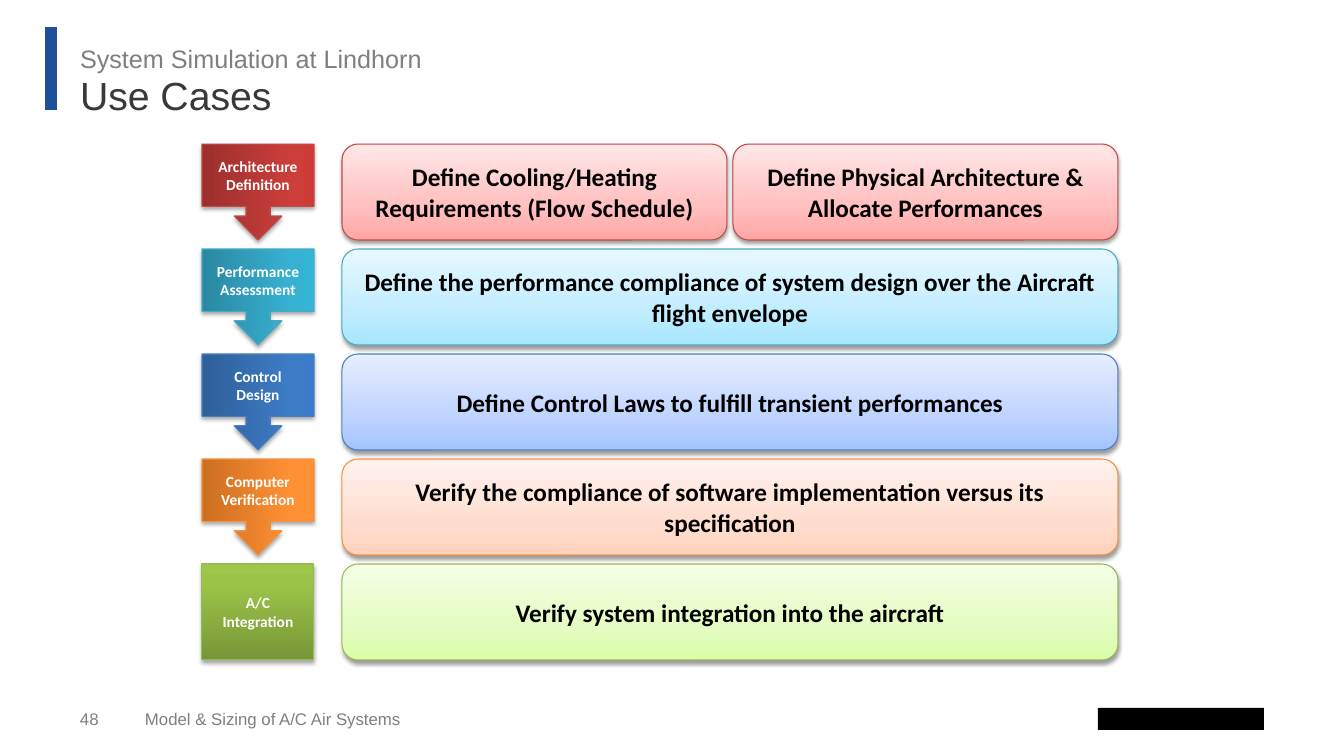
from copy import deepcopy

from lxml import etree
from pptx import Presentation
from pptx.dml.color import RGBColor
from pptx.enum import shapes, text
from pptx.oxml import ns
from pptx.util import Emu, Pt

EMU_PER_PX = 914400 / 100.8

COLORS = {
    "accent": "1F4E9A", "title": "3A3838", "muted": "7F7F7F",
    "black": "000000", "white": "FFFFFF",
}
# Per phase: outline, tile gradient and box gradient (both from bottom to top)
PHASE_COLORS = {
    "red": ("BF4C48", ["9C2F2D", "CB3E3A", "CE3B37"], ["FFA6A5", "FFC0BF", "FFE7E7"]),
    "teal": ("46AAC5", ["2A88A2", "37B1D2", "34B4D6"], ["A7E6FF", "C1EDFF", "E7F8FF"]),
    "blue": ("4B7EBC", ["2F5F99", "3D7CC7", "3A7CCB"], ["A4C4FF", "BFD4FF", "E6EEFF"]),
    "orange": ("F69240", ["CC6E20", "FF9034", "FF9136"], ["FFD2BD", "FFDED0", "FFF2ED"]),
    "green": ("98B955", ["779737", "9BC348", "9DC746"], ["DAFDA7", "E4FCC2", "F5FFE7"]),
}
PHASES = [
    ("red", "Architecture Definition",
     ["Define Cooling/Heating Requirements (Flow Schedule)",
      "Define Physical Architecture & Allocate Performances"]),
    ("teal", "Performance Assessment",
     ["Define the performance compliance of system design over the Aircraft flight envelope"]),
    ("blue", "Control Design",
     ["Define Control Laws to fulfill transient performances"]),
    ("orange", "Computer Verification",
     ["Verify the compliance of software implementation versus its specification"]),
    ("green", "A/C Integration",
     ["Verify system integration into the aircraft"]),
]

ROW_TOP, ROW_PITCH, ROW_H = 144, 105, 96
TILE_X, TILE_W = 202, 112
BOX_X, BOX_W, BOX_GAP = 342, 776, 6


def px(n):
    return Emu(round(n * EMU_PER_PX))


def rgb(value):
    return RGBColor.from_string(value)


def write(sp, words, size, color, font="Arial", bold=False,
          align=text.PP_ALIGN.LEFT, anchor=text.MSO_ANCHOR.MIDDLE,
          inset=True, spacing=None):
    tf = sp.text_frame
    tf.word_wrap = True
    tf.auto_size = text.MSO_AUTO_SIZE.NONE
    tf.vertical_anchor = anchor
    if not inset:
        tf.margin_left = tf.margin_right = tf.margin_top = tf.margin_bottom = 0
    p = tf.paragraphs[0]
    p.alignment = align
    p.line_spacing = spacing
    r = p.add_run()
    r.text = words
    r.font.name, r.font.size, r.font.bold = font, Pt(size), bold
    r.font.color.rgb = rgb(color)


def add_label(slide, x, y, w, h, words, size, **fmt):
    sp = slide.shapes.add_textbox(px(x), px(y), px(w), px(h))
    write(sp, words, size, COLORS["muted"], inset=False, **fmt)


def set_gradient(sp, colors, positions):
    sp.fill.gradient()
    sp.fill.gradient_angle = 90
    stop_list = sp._element.spPr.find(".//" + ns.qn("a:gsLst"))
    stop_list.append(deepcopy(stop_list[-1]))
    for stop, color, position in zip(sp.fill.gradient_stops, colors, positions):
        stop.color.rgb = rgb(color)
        stop.position = position


def set_shadow(sp, distance, opacity):
    sp.shadow.inherit = False
    effects = sp._element.spPr.find(ns.qn("a:effectLst"))
    shadow = etree.SubElement(effects, ns.qn("a:outerShdw"), blurRad=str(Pt(3.1)),
                              dist=str(Pt(distance)), dir="5400000", rotWithShape="0")
    color = etree.SubElement(shadow, ns.qn("a:srgbClr"), val=COLORS["black"])
    etree.SubElement(color, ns.qn("a:alpha"), val=str(opacity * 1000))


def add_block(slide, kind, x, y, w, h, words, size, color, outline,
              gradient, positions, distance, opacity):
    sp = slide.shapes.add_shape(kind, px(x), px(y), px(w), px(h))
    set_gradient(sp, gradient, positions)
    sp.line.color.rgb = rgb(outline)
    sp.line.width = Pt(0.75)
    set_shadow(sp, distance, opacity)
    write(sp, words, size, color, font="Calibri", bold=True, align=text.PP_ALIGN.CENTER)
    return sp


def add_tile(slide, y, words, outline, gradient, is_last):
    style = (words, 11, COLORS["white"], outline, gradient, (0, 0.8, 1), 1.8, 35)
    if is_last:
        add_block(slide, shapes.MSO_SHAPE.RECTANGLE, TILE_X, y, TILE_W, ROW_H, *style)
        return
    # The callout points right, so it is turned a quarter about its centre
    shift = (TILE_W - ROW_H) // 2
    sp = add_block(slide, shapes.MSO_SHAPE.RIGHT_ARROW_CALLOUT,
                   TILE_X + shift, y - shift, ROW_H, TILE_W, *style)
    sp.rotation = 90
    sp.text_frame._txBody.bodyPr.set("vert", "vert270")


def add_boxes(slide, y, tasks, outline, gradient):
    w = (BOX_W - BOX_GAP * (len(tasks) - 1)) // len(tasks)
    for i, words in enumerate(tasks):
        add_block(slide, shapes.MSO_SHAPE.ROUNDED_RECTANGLE, BOX_X + i * (w + BOX_GAP), y,
                  w, ROW_H, words, 18, COLORS["black"], outline, gradient,
                  (0, 0.35, 1), 1.6, 38)


def add_accent_bar(slide):
    bar = slide.shapes.add_connector(shapes.MSO_CONNECTOR.STRAIGHT,
                                     px(51), px(27), px(51), px(110))
    bar.line.color.rgb = rgb(COLORS["accent"])
    bar.line.width = Pt(7.94)
    etree.SubElement(bar._element.spPr, ns.qn("a:effectLst"))


def add_logo_block(slide):
    sp = slide.shapes.add_shape(shapes.MSO_SHAPE.RECTANGLE, px(1098), px(708), px(166), px(22))
    sp.shadow.inherit = False
    sp.fill.solid()
    sp.fill.fore_color.rgb = rgb(COLORS["black"])
    sp.line.fill.background()


def main():
    prs = Presentation()
    prs.slide_width, prs.slide_height = px(1344), px(756)
    slide = prs.slides.add_slide(prs.slide_layouts[5])

    # Heading
    add_accent_bar(slide)
    title = slide.shapes.title
    title.left, title.top, title.width, title.height = px(80), px(77), px(1184), px(42)
    write(title, "Use Cases", 28, COLORS["title"], inset=False, spacing=0.9)
    add_label(slide, 80, 43, 1184, 26, "System Simulation at Lindhorn", 18,
              anchor=text.MSO_ANCHOR.TOP)

    # Phases with their tasks
    for i, (hue, phase, tasks) in enumerate(PHASES):
        outline, tile_gradient, box_gradient = PHASE_COLORS[hue]
        y = ROW_TOP + i * ROW_PITCH
        add_tile(slide, y, phase, outline, tile_gradient, i == len(PHASES) - 1)
        add_boxes(slide, y, tasks, outline, box_gradient)

    # Footer
    add_label(slide, 80, 709, 57, 20, "48", 12)
    add_label(slide, 145, 709, 773, 20, "Model & Sizing of A/C Air Systems", 12)
    add_logo_block(slide)

    prs.save("out.pptx")


if __name__ == "__main__":
    main()
